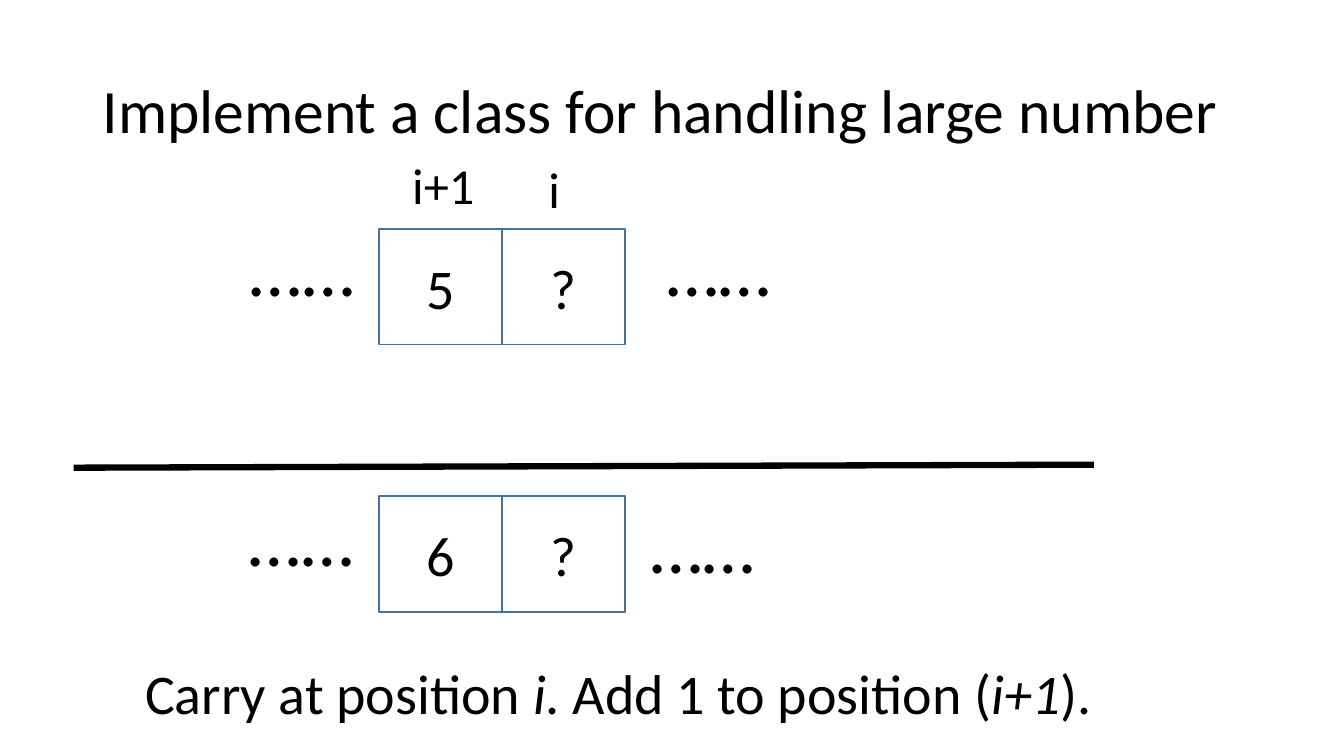
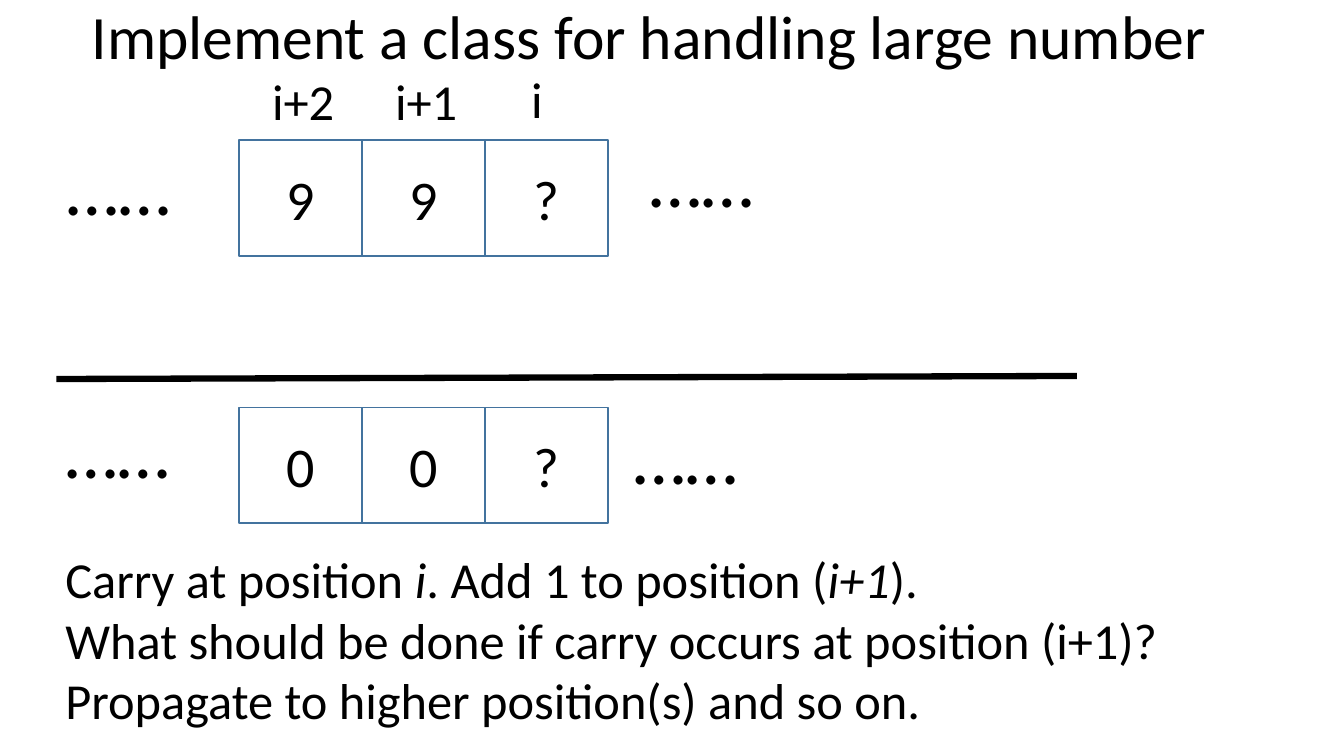
from dataclasses import dataclass

from lxml import etree
from pptx import Presentation
from pptx import util as u
from pptx.dml import color
from pptx.enum import shapes, text

INK, PAPER, EDGE = "000000", "FFFFFF", "43739E"
FACE = "Calibri"
TITLE = "Implement a class for handling large number"
DOTS = "……"
CELL_W, CELL_H = 1.22, 1.15
ROW_GAP = 2.65
RULE_W, RULE_DROP = 10.12, 2.37
CARRY = "Carry at position *i*. Add 1 to position (*i+1*)."


@dataclass
class Spot:
    x: float
    y: float


@dataclass
class Box:
    x: float
    y: float
    w: float
    h: float


@dataclass
class Label:
    words: str
    y: float
    inset: float = 0.23
    width: float = 0.82


@dataclass
class Sum:
    title: Spot
    right: float
    top: float
    rows: list[str]
    labels: list[Label]
    dots: list[Spot]
    note: Box
    size: int
    lines: list[str]
    wrap: bool


SUMS = [
    Sum(
        title=Spot(0.92, 0.4), right=6.2, top=2.27, rows=["5?", "6?"],
        labels=[Label("i+1", 1.48), Label("i", 1.52, 0.36, 0.55)],
        dots=[Spot(2.38, 2.14), Spot(2.37, 4.82)],
        note=Box(1.34, 6.48, 9.69, 0.77), size=40, lines=[CARRY], wrap=False,
    ),
    Sum(
        title=Spot(0.81, -0.33), right=6.03, top=1.39, rows=["99?", "00?"],
        labels=[Label("i+2", 0.65), Label("i+1", 0.65), Label("i", 0.63, 0.36, 0.55)],
        dots=[Spot(0.56, 1.34), Spot(0.55, 3.95)],
        note=Box(0.55, 5.39, 11.99, 1.92), size=36, wrap=True,
        lines=[
            CARRY,
            "What should be done if carry occurs at position (i+1)?",
            "Propagate to higher position(s) and so on.",
        ],
    ),
]


def tint(code: str) -> color.RGBColor:
    return color.RGBColor.from_string(code)


def apply(item, values: dict) -> None:
    for name, value in values.items():
        setattr(item, name, value)


def place(box: Box) -> list[u.Length]:
    return [u.Inches(n) for n in (box.x, box.y, box.w, box.h)]


def write(frame, lines: list[str], size: int, style: dict) -> None:
    for i, line in enumerate(lines):
        para = frame.add_paragraph() if i else frame.paragraphs[0]
        apply(para, style)
        for j, part in enumerate(line.split("*")):
            run = para.add_run()
            run.text = part
            apply(run.font, {"name": FACE, "size": u.Pt(size), "italic": j % 2 == 1})
            run.font.color.rgb = tint(INK)


def draw_text(slide, box: Box, lines: list[str], size: int, wrap: bool = False) -> None:
    frame = slide.shapes.add_textbox(*place(box)).text_frame
    apply(frame, {"word_wrap": wrap, "auto_size": text.MSO_AUTO_SIZE.SHAPE_TO_FIT_TEXT})
    write(frame, lines, size, {})


def draw_title(slide, spot: Spot) -> None:
    frame = slide.shapes.add_textbox(*place(Box(spot.x, spot.y, 11.5, 1.45))).text_frame
    apply(frame, {"word_wrap": True, "vertical_anchor": text.MSO_ANCHOR.MIDDLE})
    write(frame, [TITLE], 44, {"line_spacing": 0.9})


def draw_cell(slide, x: float, y: float, digit: str) -> None:
    cell = slide.shapes.add_shape(
        shapes.MSO_SHAPE.RECTANGLE, *place(Box(x, y, CELL_W, CELL_H)))
    cell.shadow.inherit = False
    cell.fill.solid()
    cell.fill.fore_color.rgb = tint(PAPER)
    cell.line.color.rgb = tint(EDGE)
    cell.line.width = u.Pt(1)
    cell.text_frame.vertical_anchor = text.MSO_ANCHOR.MIDDLE
    write(cell.text_frame, [digit], 40, {"alignment": text.PP_ALIGN.CENTER})


def draw_rule(slide, x: float, y: float) -> None:
    ends = [u.Inches(n) for n in (x, y, x + RULE_W, y - 0.03)]
    rule = slide.shapes.add_connector(shapes.MSO_CONNECTOR.STRAIGHT, *ends)
    rule.line.color.rgb = tint(INK)
    rule.line.width = u.Pt(4.5)
    space = rule._element.nsmap["a"]
    etree.SubElement(rule._element.spPr, f"{{{space}}}effectLst")


def draw_sum(slide, task: Sum) -> None:
    draw_title(slide, task.title)
    left = task.right - CELL_W * len(task.labels)
    for i, row in enumerate(task.rows):
        for j, digit in enumerate(row):
            draw_cell(slide, left + j * CELL_W, task.top + i * ROW_GAP, digit)
    for j, label in enumerate(task.labels):
        box = Box(left + j * CELL_W + label.inset, label.y, label.width, 0.71)
        draw_text(slide, box, [label.words], 36)
    draw_rule(slide, task.right - 5.47, task.top + RULE_DROP)
    ends = [Spot(task.right + 0.31, task.top - 0.13),
            Spot(task.right + 0.15, task.top + ROW_GAP - 0.03)]
    for spot in task.dots + ends:
        draw_text(slide, Box(spot.x, spot.y, 1.25, 1.01), [DOTS], 54)
    draw_text(slide, task.note, task.lines, task.size, task.wrap)


def main() -> None:
    deck = Presentation()
    apply(deck, {"slide_width": u.Inches(13.33), "slide_height": u.Inches(7.5)})
    for task in SUMS:
        draw_sum(deck.slides.add_slide(deck.slide_layouts[6]), task)
    deck.save("out.pptx")


if __name__ == "__main__":
    main()
